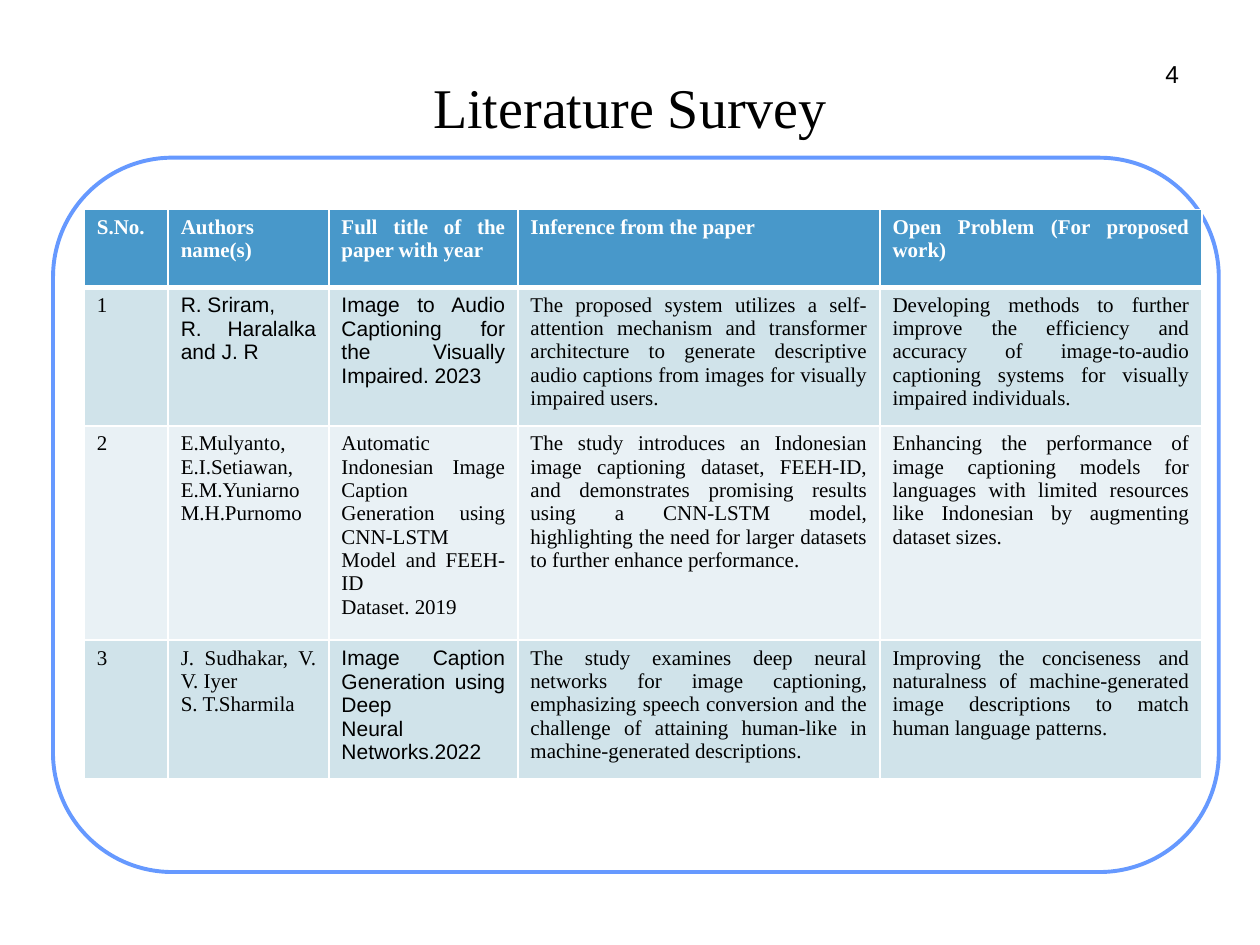
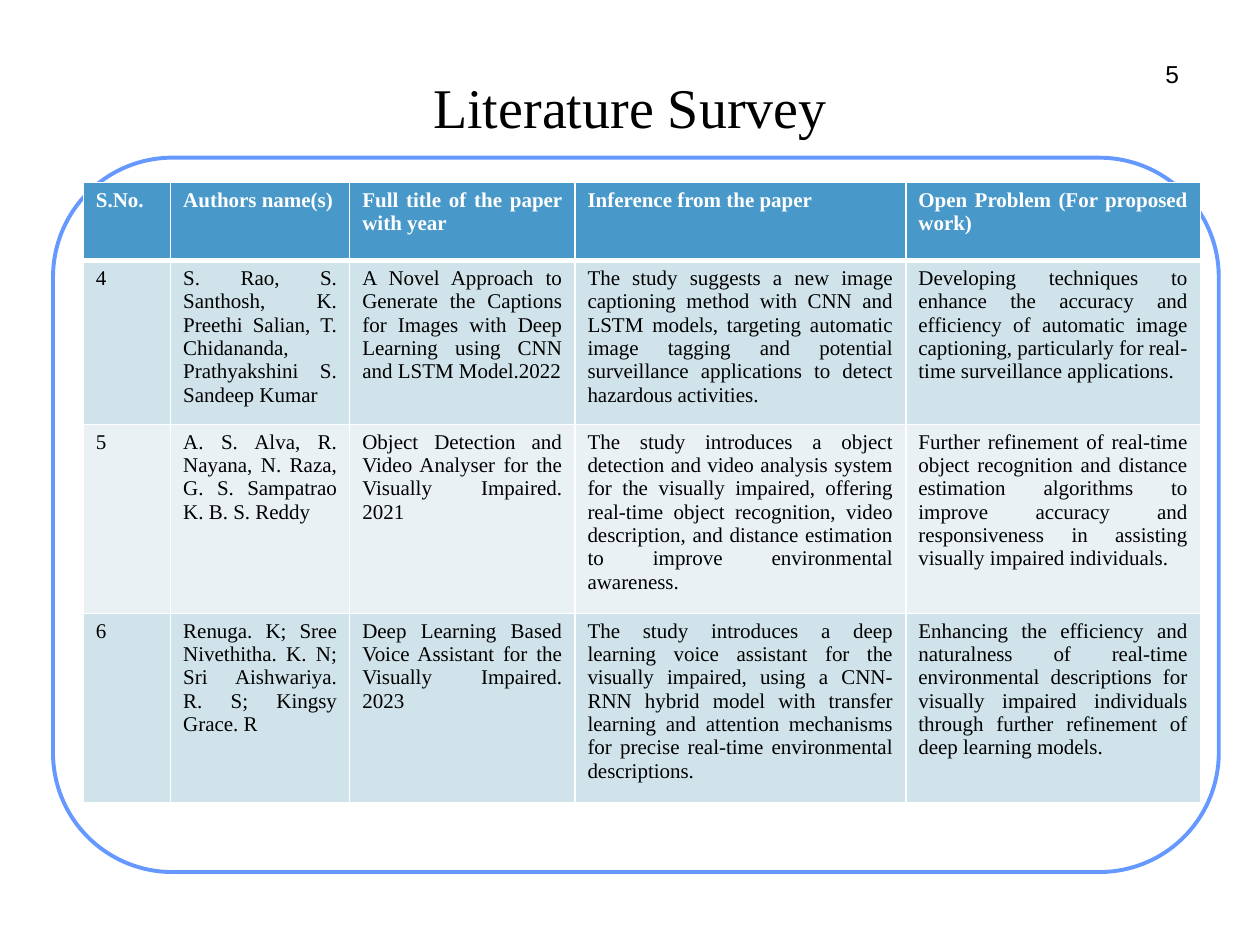
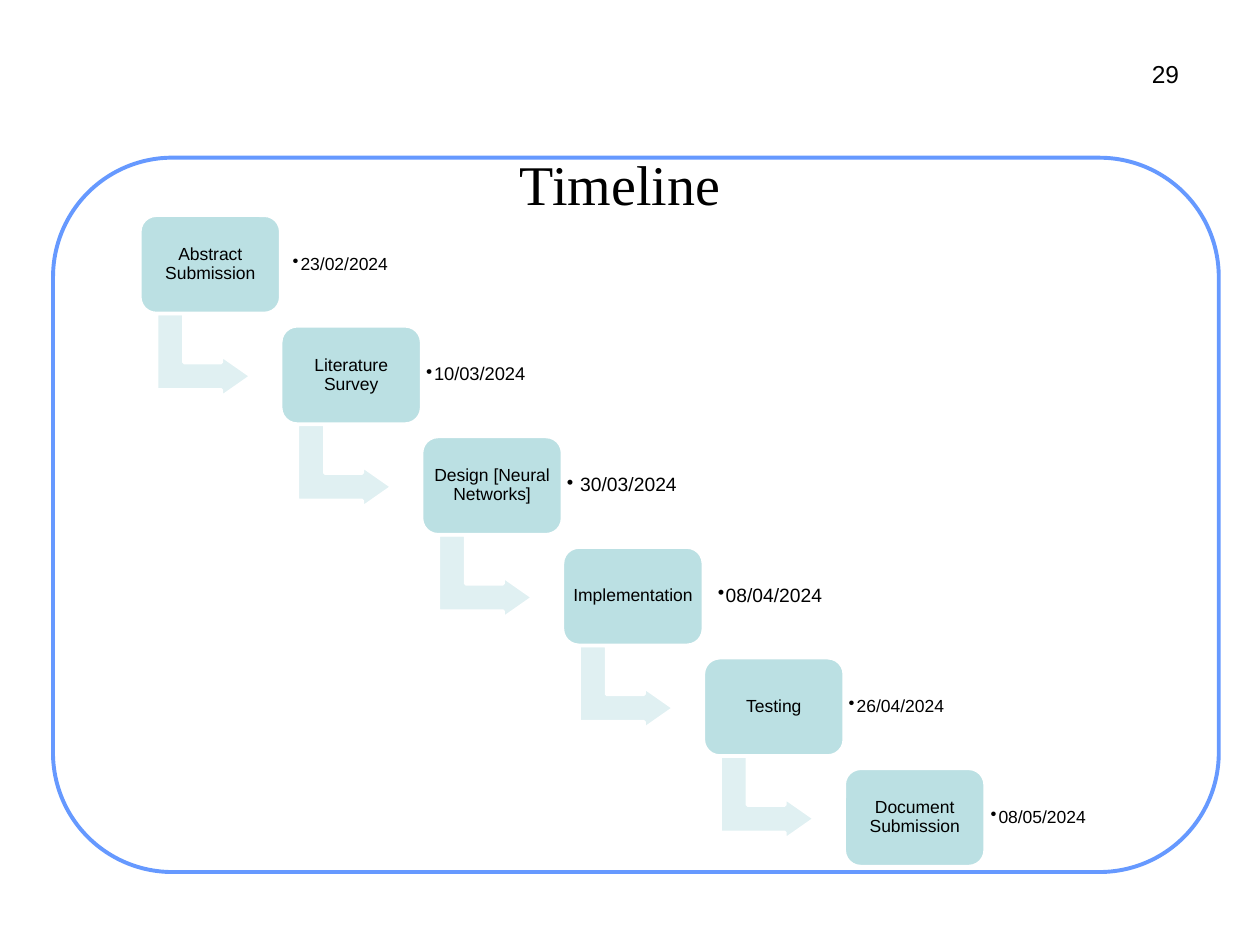
from dataclasses import dataclass

from lxml.etree import SubElement
from pptx import Presentation
from pptx.dml.color import RGBColor
from pptx.enum.shapes import MSO_SHAPE
from pptx.enum.text import MSO_ANCHOR, MSO_AUTO_SIZE, PP_ALIGN
from pptx.oxml.ns import qn
from pptx.util import Cm, Pt


@dataclass(frozen=True)
class Theme:
    """Colours, fonts and type sizes shared by all slides."""
    serif: str = "Times New Roman"
    sans: str = "Arial"
    ink: str = "000000"
    paper: str = "FFFFFF"
    edge: str = "6699FF"
    head: str = "4898CA"
    bands: tuple = ("D0E3EA", "E9F1F5")
    step: str = "BBE0E3"
    arrow: str = "E0F0F2"
    title: float = 32
    page: float = 14
    cell: float = 12
    label: float = 10


THEME = Theme()
FRAME = (1.07, 3.18, 23.5, 14.4)
HEADS = ("S.No.", "Authors name(s)", "Full title of the paper with year",
         "Inference from the paper", "Open Problem (For proposed work)")

FIRST = (
    ("1", "R. Sriram,\nR. Haralalka and J. R",
     "Image to Audio Captioning for the Visually Impaired. 2023",
     "The proposed system utilizes a self-attention mechanism and transformer architecture "
     "to generate descriptive audio captions from images for visually impaired users.",
     "Developing methods to further improve the efficiency and accuracy of image-to-audio "
     "captioning systems for visually impaired individuals."),
    ("2", "E.Mulyanto, E.I.Setiawan, E.M.Yuniarno M.H.Purnomo",
     "Automatic\nIndonesian Image Caption Generation using CNN-LSTM Model and FEEH-ID\n"
     "Dataset. 2019",
     "The study introduces an Indonesian image captioning dataset, FEEH-ID, and demonstrates "
     "promising results using a CNN-LSTM model, highlighting the need for larger datasets "
     "to further enhance performance.",
     "Enhancing the performance of image captioning models for languages with limited "
     "resources like Indonesian by augmenting dataset sizes."),
    ("3", "J. Sudhakar, V. V. Iyer\nS. T.Sharmila",
     "Image Caption Generation using Deep \nNeural Networks.2022",
     "The study examines deep neural networks for image captioning, emphasizing speech "
     "conversion and the challenge of attaining human-like in machine-generated descriptions.",
     "Improving the conciseness and naturalness of machine-generated image descriptions "
     "to match human language patterns."),
)

SECOND = (
    ("4", "S. Rao, S. Santhosh, K. Preethi Salian, T. Chidananda, Prathyakshini S. "
     "Sandeep Kumar",
     "A Novel Approach to Generate the Captions for Images with Deep Learning using CNN "
     "and LSTM Model.2022",
     "The study suggests a new image captioning method with CNN and LSTM models, targeting "
     "automatic image tagging and potential surveillance applications to detect hazardous "
     "activities.",
     "Developing techniques to enhance the accuracy and efficiency of automatic image "
     "captioning, particularly for real-time surveillance applications."),
    ("5", "A. S. Alva, R. Nayana, N. Raza, G. S. Sampatrao K. B. S. Reddy",
     "Object Detection and Video Analyser for the Visually Impaired. 2021",
     "The study introduces a object detection and video analysis system for the visually "
     "impaired, offering real-time object recognition, video description, and distance "
     "estimation to improve environmental awareness.",
     "Further refinement of real-time object recognition and distance estimation algorithms "
     "to improve accuracy and responsiveness in assisting visually impaired individuals."),
    ("6", "Renuga. K; Sree Nivethitha. K. N; Sri Aishwariya. R. S; Kingsy Grace. R",
     "Deep Learning Based Voice Assistant for the Visually Impaired. 2023",
     "The study introduces a deep learning voice assistant for the visually impaired, using "
     "a CNN-RNN hybrid model with transfer learning and attention mechanisms for precise "
     "real-time environmental descriptions.",
     "Enhancing the efficiency and naturalness of real-time environmental descriptions for "
     "visually impaired individuals through further refinement of deep learning models."),
)

STEPS = (
    ("Abstract Submission", "23/02/2024", 0.13, 4.1, 10),
    ("Literature Survey", "10/03/2024", -0.02, 5.05, 10.5),
    ("Design [Neural Networks]", " 30/03/2024", -0.02, 4.6, 11),
    ("Implementation", "08/04/2024", 0.18, 4.47, 11),
    ("Testing", "26/04/2024", -0.02, 4.34, 10),
    ("Document Submission", "08/05/2024", 0, 3.05, 10),
)


def rgb(code):
    """Turn a hex code into a colour."""
    return RGBColor.from_string(code)


def span(box):
    """Turn a box in centimetres into lengths."""
    return [Cm(side) for side in box]


def write(frame, text, font=THEME.sans, size=THEME.label, color=THEME.ink, bold=False,
          align=PP_ALIGN.LEFT, space=None, bullet=None):
    """Fill a text frame, one paragraph for each line of the text."""
    for count, line in enumerate(text.split("\n")):
        para = frame.add_paragraph() if count else frame.paragraphs[0]
        para.alignment, para.line_spacing = align, space
        if bullet:
            props = para._p.get_or_add_pPr()
            props.set("marL", str(Cm(0.16)))
            props.set("indent", str(-Cm(0.16)))
            SubElement(props, qn("a:buChar")).set("char", bullet)
        run = para.add_run()
        run.text = line
        run.font.name, run.font.size, run.font.bold = font, Pt(size), bold
        run.font.color.rgb = rgb(color)


def pad(frame, inset, wrap=True, anchor=MSO_ANCHOR.MIDDLE, fit=MSO_AUTO_SIZE.NONE):
    """Set the insets, wrapping and anchor of a text frame."""
    frame.margin_left = frame.margin_right = Cm(inset)
    frame.margin_top = frame.margin_bottom = Cm(inset)
    frame.word_wrap, frame.vertical_anchor, frame.auto_size = wrap, anchor, fit


def draw(shapes, kind, box, fill, line, width, bends):
    """Add a flat preset shape with its adjustments."""
    shape = shapes.add_shape(kind, *span(box))
    shape.shadow.inherit = False
    shape.fill.solid()
    shape.fill.fore_color.rgb = rgb(fill)
    shape.line.color.rgb = rgb(line)
    shape.line.width = Pt(width)
    for index, bend in enumerate(bends):
        shape.adjustments[index] = bend
    return shape


def start(deck, title, box, page):
    """Add a slide with the shared frame, title and page number."""
    slide = deck.slides.add_slide(deck.slide_layouts[5])
    frame = draw(slide.shapes, MSO_SHAPE.ROUNDED_RECTANGLE, FRAME, THEME.paper,
                 THEME.edge, 2.25, [0.167])
    slide.shapes._spTree.insert(2, frame._element)
    head = slide.shapes.title
    head.left, head.top, head.width, head.height = span(box)
    pad(head.text_frame, 0.13)
    write(head.text_frame, title, font=THEME.serif, size=THEME.title, align=PP_ALIGN.CENTER)
    width = 0.28 * (1 + len(page))
    note = slide.shapes.add_textbox(*span((23.9 - width, 1.07, width, 0.81)))
    pad(note.text_frame, 0.13, wrap=False, anchor=MSO_ANCHOR.TOP,
        fit=MSO_AUTO_SIZE.SHAPE_TO_FIT_TEXT)
    write(note.text_frame, page, size=THEME.page, align=PP_ALIGN.RIGHT)
    return slide


def rule(cell, top, base):
    """Draw the four white borders of a cell."""
    props = cell._tc.get_or_add_tcPr()
    for side, width in (("L", 1), ("R", 1), ("T", top), ("B", base)):
        line = SubElement(props, qn(f"a:ln{side}"), w=str(Pt(width)))
        fill = SubElement(line, qn("a:solidFill"))
        SubElement(fill, qn("a:srgbClr"), val=THEME.paper)


def grid(slide, left, top, widths, rows, plain=()):
    """Add a survey table; plain lists the cells set in the sans font."""
    box = (left, top, sum(widths), 5)
    table = slide.shapes.add_table(len(rows) + 1, len(widths), *span(box)).table
    for column, width in zip(table.columns, widths):
        column.width = Cm(width)
    for y, texts in enumerate((HEADS, *rows)):
        table.rows[y].height = Cm(1.14 if y else 1.57)
        for x, text in enumerate(texts):
            cell = table.cell(y, x)
            rule(cell, 3 if y == 1 else 1, 1 if y else 3)
            cell.fill.solid()
            cell.fill.fore_color.rgb = rgb(THEME.bands[(y - 1) % 2] if y else THEME.head)
            write(cell.text_frame, text, size=THEME.cell, bold=not y,
                  font=THEME.sans if (y, x) in plain else THEME.serif,
                  color=THEME.ink if y else THEME.paper, align=PP_ALIGN.JUSTIFY)


def survey(deck, page, *parts, **marks):
    """Build a literature survey slide."""
    slide = start(deck, "Literature Survey", (3.18, 1.02, 19.05, 2.24), page)
    grid(slide, *parts, **marks)


def stage(shapes, box, label, date, gap, reach, size, last):
    """Add one step with its date and the arrow to the next step."""
    left, top, width, height = box
    if not last:
        arrow = draw(shapes, MSO_SHAPE.BENT_UP_ARROW, (left + 0.45, top + 1.87, 1.68, 1.91),
                     THEME.arrow, THEME.paper, 2, [0.328, 0.25, 0.358])
        arrow.rotation = 90
    card = draw(shapes, MSO_SHAPE.ROUNDED_RECTANGLE, box, THEME.step, THEME.paper, 2, [0.167])
    pad(card.text_frame, 0.1)
    write(card.text_frame, label, align=PP_ALIGN.CENTER, space=0.9)
    note = shapes.add_textbox(*span((left + width + gap, top + 0.19, reach, 1.6)))
    pad(note.text_frame, 0.11)
    write(note.text_frame, date, size=size, space=0.9, bullet="•")


def timeline(deck, page, left, top):
    """Build the timeline slide as a staircase of steps."""
    slide = start(deck, "Timeline", (1.07, 2.67, 22.86, 2.06), page)
    shapes = slide.shapes.add_group_shape().shapes
    width, height, drop = 2.84, 1.98, 2.23
    for index, step in enumerate(STEPS):
        box = (left + index * width, top + index * drop, width, height)
        stage(shapes, box, *step, last=index == len(STEPS) - 1)


def main():
    """Build the deck and save it."""
    deck = Presentation()
    deck.slide_width, deck.slide_height = Cm(25.4), Cm(19.05)
    survey(deck, "4", 1.7, 4.22, (1.69, 3.24, 3.81, 7.3, 6.49), FIRST,
           plain={(1, 1), (1, 2), (3, 2)})
    survey(deck, "5", 1.68, 3.68, (1.76, 3.61, 4.54, 6.67, 5.94), SECOND)
    timeline(deck, "29", 2.82, 4.34)
    deck.save("out.pptx")


if __name__ == "__main__":
    main()
